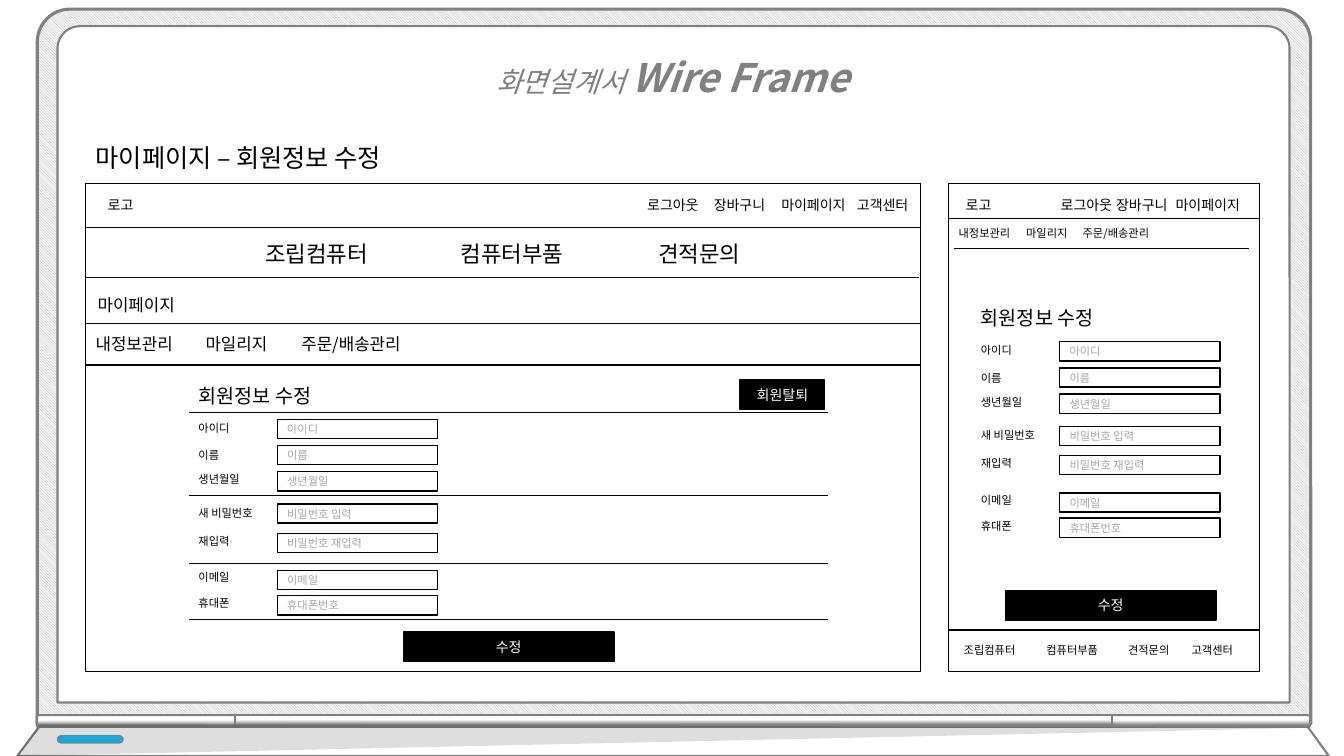
import pptx
import pptx.util
import pptx.dml.color
import pptx.enum.dml
import pptx.enum.shapes
import pptx.enum.text
import pptx.oxml.ns
import lxml.etree

Inches = pptx.util.Inches
Pt = pptx.util.Pt
qn = pptx.oxml.ns.qn
Kind = pptx.enum.shapes.MSO_SHAPE
Align = pptx.enum.text.PP_ALIGN
Anchor = pptx.enum.text.MSO_ANCHOR

FONT = "Noto Sans CJK KR"
HUES = {
    "ink": "000000", "rule": "0D0D0D", "paper": "FFFFFF", "edge": "808080",
    "hint": "A6A6A6", "hatch": "BFBFBF", "shell": "F2F2F2", "lamp": "00B0F0",
}
ROWS = [
    ("아이디", "아이디", 0.37, 0.4),
    ("이름", "이름", 0.64, 0.66),
    ("생년월일", "생년월일", 0.88, 0.92),
    ("새 비밀번호", "비밀번호 입력", 1.21, 1.24),
    ("재입력", "비밀번호 재입력", 1.49, 1.53),
    ("이메일", "이메일", 1.85, 1.9),
    ("휴대폰", "휴대폰번호", 2.11, 2.15),
]
ACCOUNT = ["내정보관리", "마일리지", "주문/배송관리"]
GOODS = ["조립컴퓨터", "컴퓨터부품", "견적문의"]
TOOLS = ["로그아웃", "장바구니", "마이페이지"]


def hue(name):
    return pptx.dml.color.RGBColor.from_string(HUES[name])


def style(para, size, color="ink", align=Align.LEFT, tabs=()):
    para.alignment = align
    props = para._p.get_or_add_pPr()
    if tabs:
        stops = lxml.etree.SubElement(props, qn("a:tabLst"))
        for pos in tabs:
            lxml.etree.SubElement(stops, qn("a:tab"), pos=str(Inches(pos)), algn="l")
    para.font.name = FONT
    para.font.size = Pt(size)
    para.font.color.rgb = hue(color)
    lxml.etree.SubElement(props.find(qn("a:defRPr")), qn("a:ea"), typeface=FONT)


def outline(shape, color, width):
    shape.shadow.inherit = False
    shape.line.color.rgb = hue(color)
    shape.line.width = Pt(width)


def panel(slide, x, y, w, h, fill="paper", edge="ink", width=1, kind=Kind.RECTANGLE, bends=()):
    shape = slide.shapes.add_shape(kind, Inches(x), Inches(y), Inches(w), Inches(h))
    for i, bend in enumerate(bends):
        shape.adjustments[i] = bend
    shape.fill.solid()
    shape.fill.fore_color.rgb = hue(fill)
    outline(shape, edge, width)
    return shape


def write(shape, words, size, color="ink", align=Align.LEFT, tabs=()):
    frame = shape.text_frame
    frame.word_wrap = True
    frame.vertical_anchor = Anchor.MIDDLE
    frame.text = words
    style(frame.paragraphs[0], size, color, align, tabs)


def label(slide, x, y, w, h, words, size, inset=0.1, tabs=()):
    shape = slide.shapes.add_textbox(Inches(x), Inches(y), Inches(w), Inches(h))
    write(shape, words, size, tabs=tabs)
    shape.text_frame.vertical_anchor = Anchor.TOP
    shape.text_frame.margin_left = Inches(inset)
    shape.text_frame.margin_right = Inches(0.05)


def rule(slide, x, y, w, color="ink"):
    line = slide.shapes.add_connector(
        pptx.enum.shapes.MSO_CONNECTOR.STRAIGHT,
        Inches(x), Inches(y), Inches(x + w), Inches(y))
    line.line.color.rgb = hue(color)
    line.line.width = Pt(0.5)
    lxml.etree.SubElement(line._element.spPr, qn("a:effectLst"))


def button(slide, x, y, w, words):
    write(panel(slide, x, y, w, 0.29, "ink"), words, 10, "paper", Align.CENTER)


def outer(slide, points):
    spots = [(Inches(x), Inches(y)) for x, y in points]
    draw = slide.shapes.build_freeform(*spots[0], scale=1.0)
    draw.add_line_segments(spots[1:], close=True)
    shape = draw.convert_to_shape()
    shape.shadow.inherit = False
    shape.fill.solid()
    return shape


def hinge(slide, x, y, h, turn, bend, flip=False):
    shape = panel(slide, x, y, 0.12, h, "paper", "edge", 1.5,
                  Kind.ROUND_2_SAME_RECTANGLE, (bend, 0))
    shape.rotation = turn
    shape.fill.gradient()
    shape.fill.gradient_angle = 0
    for stop, (name, pos) in zip(shape.fill.gradient_stops, [("edge", 0.17), ("paper", 0.59)]):
        stop.color.rgb = hue(name)
        stop.position = pos
    if flip:
        shape._element.spPr.find(qn("a:xfrm")).set("flipH", "1")


def laptop(slide, x, y):
    top = Kind.ROUND_2_SAME_RECTANGLE
    lid = panel(slide, x + 0.37, y + 0.09, 12.63, 7.09, "shell", "edge", 2.25, top, (0.046, 0))
    lid.fill.patterned()
    lid.fill.pattern = pptx.enum.dml.MSO_PATTERN.LIGHT_DOWNWARD_DIAGONAL
    lid.fill.fore_color.rgb = hue("hatch")
    lid.fill.back_color.rgb = hue("shell")
    panel(slide, x + 0.57, y + 0.26, 12.22, 6.71, "paper", "edge", 1.5, top, (0.033, 0))
    hinge(slide, x + 1.29, y + 6.17, 1.97, 270, 0.193)
    hinge(slide, x + 11.95, y + 6.17, 1.97, 90, 0.193, True)
    hinge(slide, x + 6.62, y + 2.8, 8.7, 270, 0)
    base = outer(slide, [(x + 0.39, y + 7.21), (x + 12.97, y + 7.21),
                         (x + 13.18, y + 7.5), (x + 0.17, y + 7.5)])
    base.fill.fore_color.rgb = hue("paper")
    outline(base, "edge", 1.5)
    shade = outer(slide, [(x + 0.39, y + 7.18), (x + 0.17, y + 7.5), (x + 13.02, y + 7.22)])
    shade.fill.fore_color.rgb = hue("ink")
    shade.line.fill.background()
    tint = shade._element.spPr.find(qn("a:solidFill"))[0]
    lxml.etree.SubElement(tint, qn("a:alpha"), val="13000")
    panel(slide, x + 0.57, y + 7.3, 0.65, 0.07, "lamp", "edge", 1, Kind.ROUNDED_RECTANGLE, (0.5,))


def title(slide, x, y, w, h):
    shape = slide.shapes.add_textbox(Inches(x), Inches(y), Inches(w), Inches(h))
    shape.text_frame.word_wrap = True
    para = shape.text_frame.paragraphs[0]
    para.line_spacing = 1.5
    style(para, 20, "edge", Align.CENTER)
    para.font.italic = True
    para.add_run().text = "화면설계서 "
    name = para.add_run()
    name.text = "Wire Frame"
    name.font.size = Pt(28)
    name.font.bold = True


def form(slide, x, y):
    label(slide, x, y, 1.79, 0.34, "회원정보 수정", 14)
    for name, hint, drop, low in ROWS:
        label(slide, x, y + drop, 1.79, 0.24, name, 8)
        write(panel(slide, x + 0.88, y + low, 1.59, 0.19), hint, 8, "hint")


def desktop(slide, x, y, w, h):
    label(slide, x, y - 0.46, 3.49, 0.4, "마이페이지 – 회원정보 수정", 18)
    panel(slide, x, y, w, h)
    panel(slide, x, y, w, 0.44)
    label(slide, x + 0.12, y + 0.08, 2.41, 0.27, "로고", 10)
    label(slide, x + 5.16, y + 0.08, 3.1, 0.27, "\t".join(TOOLS + ["고객센터"]), 10,
          0.41, (0.66, 1.33, 2.08))
    label(slide, x, y + 0.51, w, 0.37, "\t".join(GOODS), 16, 1.78, (1.94, 3.9))
    rule(slide, x, y + 0.93, w - 0.02, "rule")
    label(slide, x + 0.02, y + 1.05, 2.27, 0.3, "마이페이지", 12)
    menu = panel(slide, x, y + 1.39, w, 0.41)
    write(menu, "\t".join(ACCOUNT), 12, tabs=(1.09, 2.04))
    form(slide, x + 1.02, y + 1.94)
    for drop in (2.27, 3.09, 3.77, 4.32):
        rule(slide, x + 1.02, y + drop, 6.34)
    button(slide, x + 6.49, y + 1.95, 0.84, "회원탈퇴")
    button(slide, x + 3.15, y + 4.45, 2.09, "수정")


def phone(slide, x, y, w, h):
    panel(slide, x, y, w, h)
    label(slide, x + 0.07, y + 0.08, 0.52, 0.27, "로고", 10)
    label(slide, x + 0.66, y + 0.08, 2.31, 0.27, "\t".join(TOOLS), 10, 0.45, (0.55, 1.14))
    rule(slide, x, y + 0.35, w)
    label(slide, x, y + 0.38, 2.93, 0.24, "\t".join(ACCOUNT), 8, tabs=(0.67, 1.23))
    rule(slide, x + 0.05, y + 0.64, 2.93)
    form(slide, x + 0.22, y + 1.17)
    button(slide, x + 0.56, y + 4.04, 2.09, "수정")
    panel(slide, x, y + h - 0.41, w, 0.41)
    for name, left in zip(GOODS + ["고객센터"], (0.05, 0.87, 1.68, 2.31)):
        label(slide, x + left, y + 4.51, 0.81, 0.24, name, 8)


def main():
    deck = pptx.Presentation()
    deck.slide_width = Inches(13.33)
    deck.slide_height = Inches(7.5)
    slide = deck.slides.add_slide(deck.slide_layouts[6])
    laptop(slide, 0, 0)
    title(slide, 3.67, 0.25, 6, 0.81)
    desktop(slide, 0.85, 1.82, 8.28, 4.84)
    phone(slide, 9.41, 1.82, 3.08, 4.84)
    deck.save("out.pptx")


if __name__ == "__main__":
    main()
